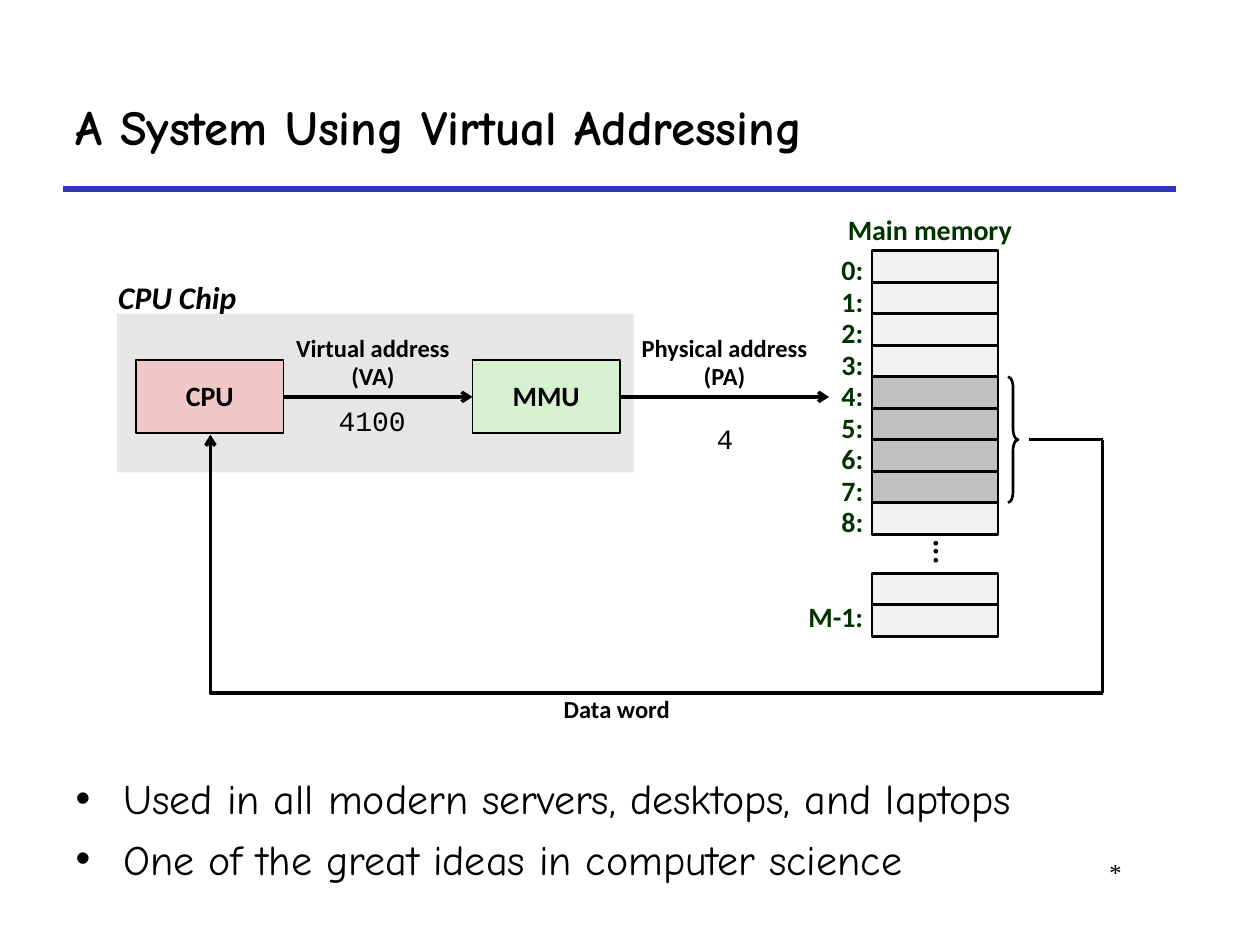
"""Build a slide on virtual addressing: CPU chip, MMU, main memory and data path."""
from dataclasses import dataclass

from lxml import etree
from pptx import Presentation
from pptx.dml.color import RGBColor as RGB
from pptx.enum import shapes, text
from pptx.oxml.ns import qn
from pptx.util import Inches, Pt


@dataclass(frozen=True)
class Theme:
    ink: str = "000000"
    rule: str = "3333CC"
    chip: str = "E6E6E6"
    cpu: str = "F1C7C7"
    mmu: str = "D5F1CF"
    cell: str = "F2F2F2"
    word: str = "C0C0C0"
    label: str = "003300"
    head: str = "Comic Neue"
    sans: str = "Calibri"
    mono: str = "Courier New"
    serif: str = "Times New Roman"
    title: int = 28
    body: int = 24
    large: int = 18
    mid: int = 16
    small: int = 14


T = Theme()
A = text.PP_ALIGN
V = text.MSO_ANCHOR
FIT = text.MSO_AUTO_SIZE


def put(words, at, box=None, fill=None, line=None, font=T.sans, size=T.mid, color=T.ink,
        bold=True, italic=False, align=A.LEFT, anchor=V.TOP, wrap=False, grow=False,
        lead=None, gap=0, bullet=False):
    at = [Inches(n) for n in at]
    if box is not None:
        box.left, box.top, box.width, box.height = at
    elif fill:
        box = slide.shapes.add_shape(shapes.MSO_SHAPE.RECTANGLE, *at)
        box.shadow.inherit = False
        box.fill.solid()
        box.fill.fore_color.rgb = RGB.from_string(fill)
        if line:
            box.line.color.rgb = RGB.from_string(T.ink)
            box.line.width = Pt(line)
        else:
            box.line.fill.background()
    else:
        box = slide.shapes.add_textbox(*at)
    if not words:
        return box
    frame = box.text_frame
    frame.text = words
    frame.word_wrap = wrap
    frame.vertical_anchor = anchor
    frame.auto_size = FIT.SHAPE_TO_FIT_TEXT if grow else FIT.NONE
    for i, para in enumerate(frame.paragraphs):
        para.alignment = align
        para.space_before = Pt(gap if i else 0)
        if lead:
            para.line_spacing = lead
        if bullet:
            props = para._p.get_or_add_pPr()
            props.set("marL", str(Inches(0.38)))
            props.set("indent", str(-Inches(0.38)))
            etree.SubElement(props, qn("a:buChar")).set("char", "•")
        for run in para.runs:
            run.font.name = font
            run.font.size = Pt(size)
            run.font.bold = bold
            run.font.italic = italic
            run.font.color.rgb = RGB.from_string(color)
    return box


def link(x1, y1, x2, y2, color=T.ink, width=2, arrow=False, kind=shapes.MSO_CONNECTOR.STRAIGHT):
    wire = slide.shapes.add_connector(kind, *[Inches(n) for n in (x1, y1, x2, y2)])
    wire.line.color.rgb = RGB.from_string(color)
    wire.line.width = Pt(width)
    if arrow:
        etree.SubElement(wire.line._get_or_add_ln(), qn("a:tailEnd")).set("type", "arrow")
    etree.SubElement(wire._element.spPr, qn("a:effectLst"))
    return wire


deck = Presentation()
deck.slide_width, deck.slide_height = Inches(10), Inches(7.5)
slide = deck.slides.add_slide(deck.slide_layouts[1])
title, body = slide.placeholders

link(0.5, 1.5, 9.33, 1.5, color=T.rule, width=3)
put("*", (7.58, 6.75, 1.42, 0.5), font=T.serif, size=T.small, bold=False, align=A.RIGHT, wrap=True)
put("A System Using Virtual Addressing", (0.5, 0.5, 8.83, 1), box=title, font=T.head,
    size=T.title, anchor=V.MIDDLE, wrap=True)
put("Used in all modern servers, desktops, and laptops\nOne of the great ideas in computer science",
    (0.5, 6.08, 9.09, 1.17), box=body, font=T.head, size=T.body, bold=False, wrap=True,
    gap=6, bullet=True)

put("", (0.93, 2.49, 4.1, 1.26), fill=T.chip)
put("CPU Chip", (0.84, 2.16, 1.14, 0.4), size=T.large, italic=True, grow=True)
cpu, mmu = [
    put(name, (left, 2.86, 1.17, 0.58), fill=fill, line=1, align=A.CENTER, anchor=V.MIDDLE, lead=0.98)
    for name, left, fill in (("CPU", 1.08, T.cpu), ("MMU", 3.75, T.mmu))
]

step = 0.25
top = 1.99
names = [f"{n}:" for n in range(9)]
rows = [(name, top + n * step) for n, name in enumerate(names)] + [("", 4.55), ("M-1:", 4.8)]
for name, y in rows:
    put("", (6.92, y, 1, step), fill=T.word if name in names[4:8] else T.cell, line=1.5)
for name, y in rows:
    if name in names:
        put(name, (6.58, y, 0.37, 0.33), color=T.label, grow=True, lead=0.88)
put("M-1:", (6.25, 4.74, 0.7, 0.33), color=T.label, align=A.RIGHT, grow=True, lead=0.88)
put("Main memory", (6.63, 1.67, 1.5, 0.33), color=T.label, align=A.CENTER, grow=True, lead=0.88)

dots = put("...", (7, 4.18, 1, 0.25), size=T.large, align=A.CENTER, anchor=V.MIDDLE, lead=0.98)
frame = dots.text_frame
frame._txBody.bodyPr.set("vert", "eaVert")
frame.margin_left = frame.margin_right = Inches(0.05)
frame.margin_top = frame.margin_bottom = Inches(0.1)

brace = slide.shapes.add_shape(shapes.MSO_SHAPE.RIGHT_BRACE, Inches(8), Inches(2.99),
                               Inches(0.08), Inches(1))
brace.shadow.inherit = False
brace.fill.background()
brace.line.color.rgb = RGB.from_string(T.ink)
brace.line.width = Pt(1.5)
brace.adjustments[0] = 1.08

for words, at in (
    ("Virtual address\n(VA)", (2.25, 2.6, 1.42, 0.56)),
    ("Physical address\n(PA)", (4.99, 2.6, 1.52, 0.56)),
    ("Data word", (4.37, 5.47, 1.05, 0.33)),
):
    put(words, at, size=T.small, align=A.CENTER, anchor=V.MIDDLE, grow=True, lead=0.98)
for words, at in (("4100", (2.59, 3.15, 0.73, 0.37)), ("4", (5.59, 3.3, 0.33, 0.37))):
    put(words, at, font=T.mono, bold=False, grow=True)

virtual = link(2.25, 3.15, 3.75, 3.15, arrow=True)
virtual.begin_connect(cpu, 3)
virtual.end_connect(mmu, 1)
physical = link(4.92, 3.15, 6.58, 3.15, arrow=True)
physical.begin_connect(mmu, 3)
link(8.17, 3.49, 8.75, 3.49)
link(8.75, 3.49, 8.75, 5.5)
back = link(1.67, 3.45, 8.75, 5.5, arrow=True, kind=shapes.MSO_CONNECTOR.ELBOW)
props = back._element.spPr
props.find(qn("a:prstGeom")).set("prst", "bentConnector2")
props.find(qn("a:xfrm")).set("rot", "10800000")

deck.save("out.pptx")
